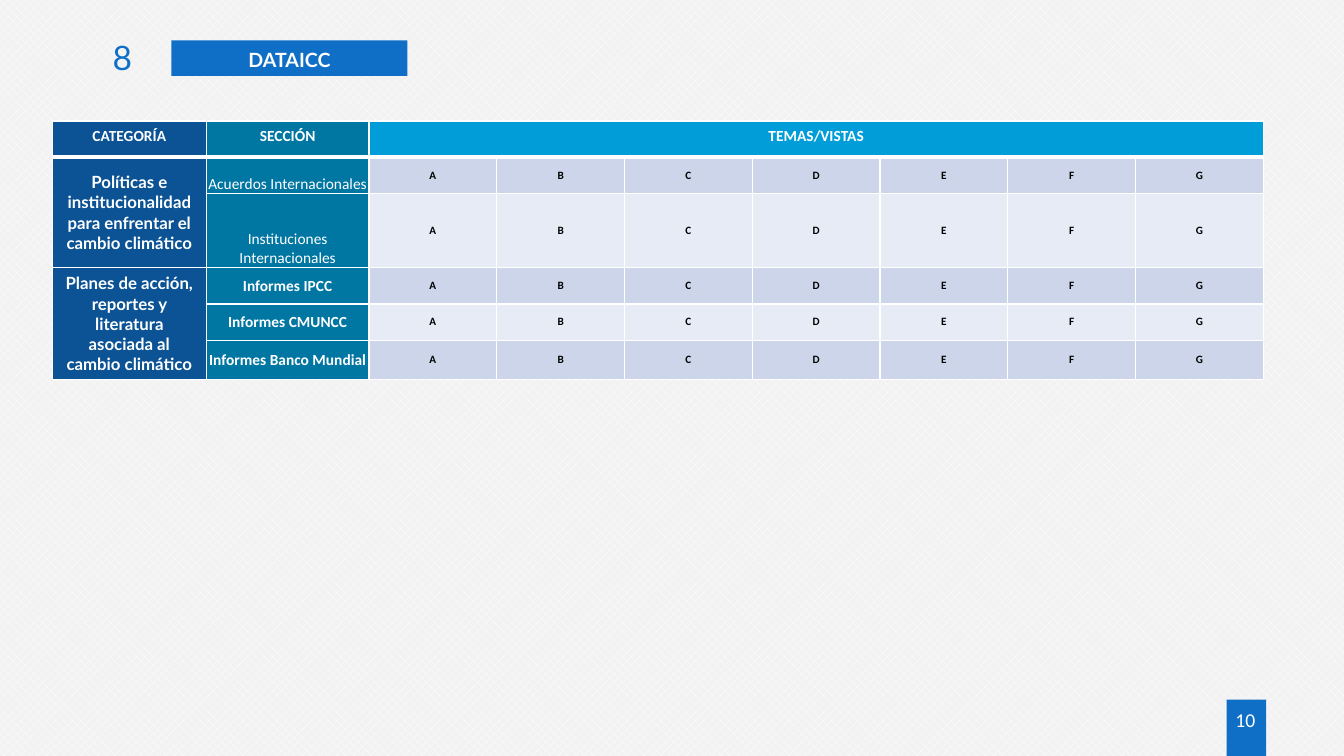
"""Build the DATAICC slide: a heading and a table of categories, sections and views."""
from dataclasses import dataclass
from typing import Any

from lxml.etree import SubElement
from pptx import Presentation
from pptx.dml.color import RGBColor
from pptx.enum.dml import MSO_PATTERN
from pptx.enum.shapes import MSO_SHAPE
from pptx.enum.text import MSO_ANCHOR, PP_ALIGN
from pptx.oxml.ns import qn
from pptx.util import Cm, Pt


@dataclass(frozen=True)
class Theme:
    white: str = "FFFFFF"
    black: str = "000000"
    paper: str = "F2F2F2"
    accent: str = "0F6FC6"
    category: str = "0B5394"
    section: str = "0076A3"
    views: str = "009DD9"
    bands: tuple[str, str] = ("CCD5EA", "E7EBF5")
    body: str = "Calibri"
    display: str = "Lato"
    number: float = 24
    title: float = 14
    group: float = 12
    label: float = 11
    view: float = 8


@dataclass(frozen=True)
class TextStyle:
    size: float
    font: str
    color: str
    bold: bool = False
    align: Any = PP_ALIGN.CENTER


@dataclass(frozen=True)
class Box:
    left: float
    top: float
    width: float
    height: float

    def lengths(self) -> tuple:
        return Cm(self.left), Cm(self.top), Cm(self.width), Cm(self.height)


@dataclass(frozen=True)
class Section:
    name: str
    height: float
    bold: bool = True


@dataclass(frozen=True)
class Category:
    name: str
    sections: tuple[Section, ...]


T = Theme()
HEADER = TextStyle(T.label, T.body, T.white, True)
GROUP = TextStyle(T.group, T.display, T.white, True)
VIEW = TextStyle(T.view, T.body, T.black, True)
VIEWS = "ABCDEFG"
DEFAULT_INSETS = (0.25, 0.13, 0.25, 0.13)
NO_INSETS = (0, 0, 0, 0)
LOW_INSETS = (0.03, 0.03, 0.03, 0)
HEADER_HEIGHT = 0.91
CATEGORIES = (
    Category("Políticas e institucionalidad para enfrentar el cambio climático", (
        Section("Acuerdos Internacionales", 0.91, False),
        Section("Instituciones Internacionales", 1.88, False))),
    Category("Planes de acción, reportes y literatura asociada al cambio climático", (
        Section("Informes IPCC", 0.91),
        Section("Informes CMUNCC", 0.91),
        Section("Informes Banco Mundial", 0.99))),
)


def set_attrs(obj: Any, values: dict[str, Any]) -> None:
    for name, value in values.items():
        setattr(obj, name, value)


def paint(sp: Any, color: str) -> None:
    sp.fill.solid()
    sp.fill.fore_color.rgb = RGBColor.from_string(color)


def write(tf: Any, text: str, style: TextStyle) -> Any:
    p = tf.paragraphs[0]
    p.alignment = style.align
    r = p.add_run()
    r.text = text
    set_attrs(r.font, {"size": Pt(style.size), "name": style.font, "bold": style.bold})
    r.font.color.rgb = RGBColor.from_string(style.color)
    return p


def frame(tf: Any, insets: tuple[float, ...]) -> None:
    sides = ("margin_left", "margin_top", "margin_right", "margin_bottom")
    set_attrs(tf, dict(zip(sides, map(Cm, insets))))


def add_text(slide: Any, box: Box, text: str, style: TextStyle,
             insets: tuple[float, ...] = DEFAULT_INSETS) -> None:
    tf = slide.shapes.add_textbox(*box.lengths()).text_frame
    tf.word_wrap = True
    frame(tf, insets)
    write(tf, text, style)


def add_title(slide: Any, box: Box, text: str) -> None:
    sp = slide.shapes.title
    set_attrs(sp, dict(zip(("left", "top", "width", "height"), box.lengths())))
    paint(sp, T.accent)
    tf = sp.text_frame
    set_attrs(tf, {"word_wrap": True, "vertical_anchor": MSO_ANCHOR.TOP})
    frame(tf, DEFAULT_INSETS)
    p = write(tf, text, TextStyle(T.title, T.display, T.white, True))
    set_attrs(p, {"line_spacing": 1.1, "space_before": Pt(0)})


def add_page_tab(slide: Any, box: Box) -> None:
    sp = slide.shapes.add_shape(MSO_SHAPE.RECTANGLE, *box.lengths())
    sp.shadow.inherit = False
    paint(sp, T.accent)
    sp.line.fill.background()


def set_borders(cell: Any, row: int) -> None:
    top, bottom = (3 if row == 1 else 1), (3 if row == 0 else 1)
    tc_pr = cell._tc.get_or_add_tcPr()
    for i, (side, width) in enumerate(zip("LRTB", (1, 1, top, bottom))):
        ln = SubElement(tc_pr, qn(f"a:ln{side}"), w=str(Pt(width)))
        fill = SubElement(ln, qn("a:solidFill"))
        SubElement(fill, qn("a:srgbClr"), val=T.white)
        tc_pr.insert(i, ln)


def fill_cell(cell: Any, text: str, style: TextStyle, color: str,
              insets: tuple[float, ...] = DEFAULT_INSETS, anchor: Any = MSO_ANCHOR.MIDDLE) -> None:
    paint(cell, color)
    frame(cell, insets)
    cell.vertical_anchor = anchor
    write(cell.text_frame, text, style)


def add_section_row(table: Any, row: int, section: Section) -> None:
    table.rows[row].height = Cm(section.height)
    insets, anchor = (NO_INSETS, MSO_ANCHOR.MIDDLE) if section.bold else (LOW_INSETS, MSO_ANCHOR.BOTTOM)
    style = TextStyle(T.label, T.body, T.white, section.bold)
    fill_cell(table.cell(row, 1), section.name, style, T.section, insets, anchor)
    for col, view in enumerate(VIEWS, 2):
        fill_cell(table.cell(row, col), view, VIEW, T.bands[(row - 1) % 2], NO_INSETS)


def add_views_table(slide: Any, left: float, top: float) -> None:
    widths = [3.88, 4.1] + [3.22] * len(VIEWS)
    heights = [HEADER_HEIGHT] + [s.height for c in CATEGORIES for s in c.sections]
    box = Box(left, top, sum(widths), sum(heights))
    table = slide.shapes.add_table(len(heights), len(widths), *box.lengths()).table
    for column, width in zip(table.columns, widths):
        column.width = Cm(width)
    table.rows[0].height = Cm(HEADER_HEIGHT)
    table.cell(0, 2).merge(table.cell(0, len(widths) - 1))
    headers = (("CATEGORÍA", T.category), ("SECCIÓN", T.section), ("TEMAS/VISTAS", T.views))
    for col, (text, color) in enumerate(headers):
        fill_cell(table.cell(0, col), text, HEADER, color, anchor=MSO_ANCHOR.TOP)
    row = 1
    for category in CATEGORIES:
        last = row + len(category.sections) - 1
        table.cell(row, 0).merge(table.cell(last, 0))
        fill_cell(table.cell(row, 0), category.name, GROUP, T.category)
        for i, section in enumerate(category.sections, row):
            add_section_row(table, i, section)
        row = last + 1
    for i in range(len(heights)):
        for col in range(len(widths)):
            set_borders(table.cell(i, col), i)


def main() -> None:
    prs = Presentation()
    set_attrs(prs, {"slide_width": Cm(33.87), "slide_height": Cm(19.05)})
    slide = prs.slides.add_slide(prs.slide_layouts[5])
    fill = slide.background.fill
    fill.patterned()
    fill.pattern = MSO_PATTERN.from_xml("pct40")
    fill.fore_color.rgb = RGBColor.from_string(T.white)
    fill.back_color.rgb = RGBColor.from_string(T.paper)
    add_page_tab(slide, Box(30.91, 17.63, 1, 1.42))
    add_text(slide, Box(30.61, 17.78, 1.55, 0.84), "10",
             TextStyle(T.title, T.body, T.white), (0.13, 0.05, 0.13, 0.05))
    add_title(slide, Box(4.32, 1.02, 5.95, 0.89), "DATAICC")
    add_text(slide, Box(1.32, 0.81, 2.26, 1.27), "8",
             TextStyle(T.number, T.display, T.accent, align=PP_ALIGN.RIGHT))
    add_views_table(slide, 1.32, 3.05)
    prs.save("out.pptx")


if __name__ == "__main__":
    main()
